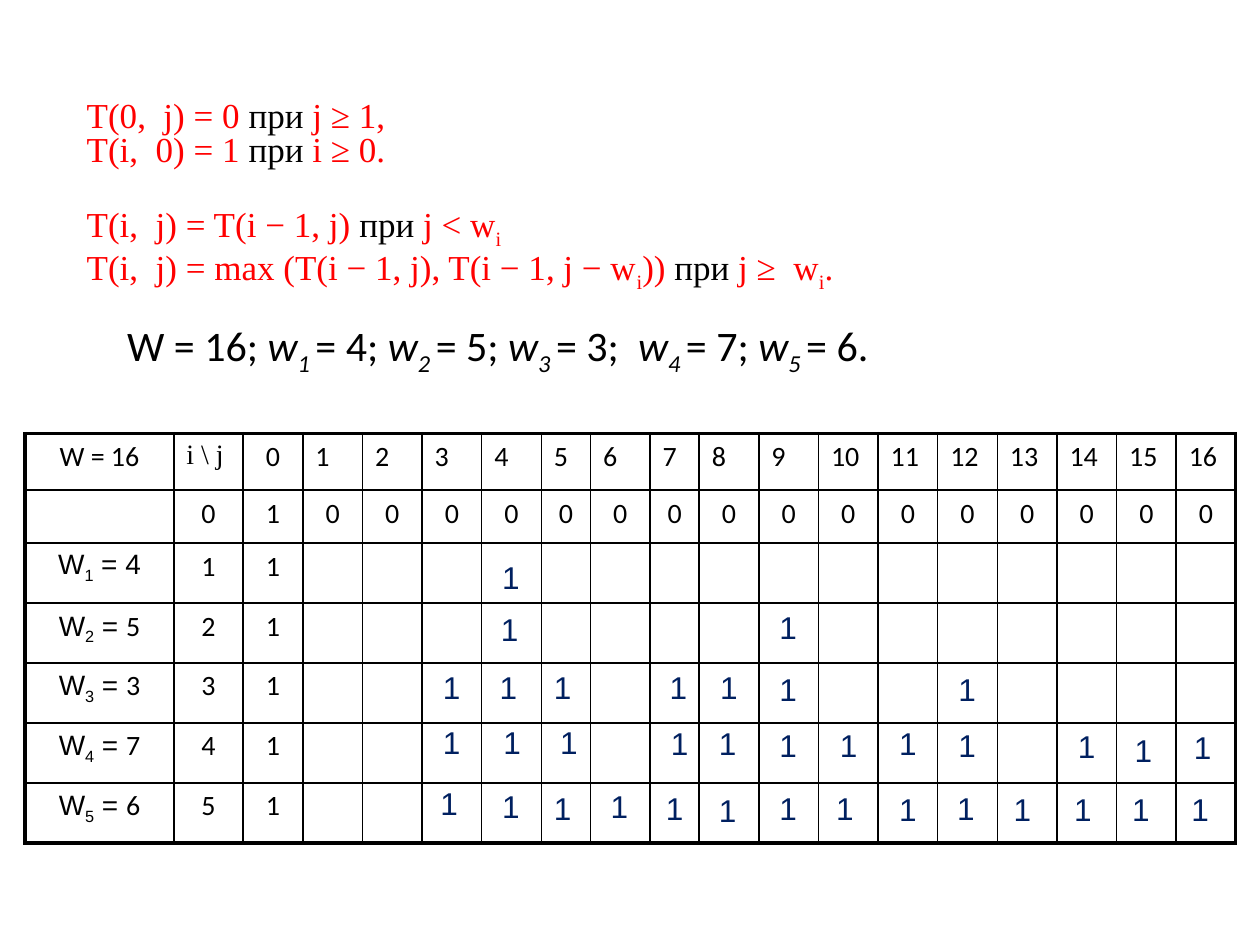
from lxml.etree import SubElement
from pptx import Presentation
from pptx.dml.color import RGBColor
from pptx.enum.text import MSO_AUTO_SIZE as AutoSize, PP_ALIGN as Align
from pptx.oxml.ns import qn
from pptx.util import Inches, Pt

COLUMNS, ROWS = 10, 7.5
BLACK, RED, NAVY = "000000", "FF0000", "002060"
SANS, SERIF, ARIAL = "Calibri", "Times New Roman", "Arial"
SUBSCRIPT = {"subscript": True}
ITALIC = {"italic": True}
ITALIC_SUBSCRIPT = ITALIC | SUBSCRIPT
WHEN = ("при", {"color": BLACK})

FORMULAS = [
    [("T(0,  j) = 0 ", {}), WHEN, (" j ≥ 1,", {})],
    [("T(i,  0) = 1 ", {}), WHEN, (" i ≥ 0.", {})],
    [("T(i,  j) = T(i − 1, j) ", {}), WHEN, (" j < w", {}), ("i", SUBSCRIPT)],
    [("T(i,  j) = max (T(i − 1, j), T(i − 1, j − w", {}), ("i", SUBSCRIPT),
     (")) ", {}), WHEN, (" j ≥  w", {}), ("i", SUBSCRIPT), (".", {})],
]
CAPACITY = 16
WEIGHTS = [4, 5, 3, 7, 6]
MARKS = [
    [(3.82, 4.38)],
    [(3.81, 4.79), (6.02, 4.78)],
    [(3.35, 5.25), (3.8, 5.25), (4.23, 5.25), (5.15, 5.25), (5.55, 5.25),
     (6.02, 5.27), (7.44, 5.27)],
    [(3.35, 5.69), (3.83, 5.69), (4.28, 5.69), (5.16, 5.7), (5.54, 5.7),
     (6.02, 5.71), (6.5, 5.71), (6.97, 5.7), (7.44, 5.71), (8.39, 5.72),
     (8.84, 5.75), (9.31, 5.73)],
    [(3.33, 6.17), (3.82, 6.2), (4.23, 6.21), (4.68, 6.2), (5.12, 6.21),
     (5.54, 6.23), (6.02, 6.21), (6.47, 6.21), (6.97, 6.22), (7.43, 6.21),
     (7.88, 6.22), (8.36, 6.22), (8.82, 6.22), (9.29, 6.22)],
]


def rgb(color):
    return RGBColor.from_string(color)


class SlideBuilder:
    def __init__(self, presentation):
        self.column = presentation.slide_width / COLUMNS
        self.row = presentation.slide_height / ROWS
        self.slide = presentation.slides.add_slide(presentation.slide_layouts[6])

    def box(self, left, top, width, height):
        return (round(left * self.column), round(top * self.row),
                round(width * self.column), round(height * self.row))

    def add_runs(self, paragraph, runs, size, font, color=BLACK, align=Align.LEFT):
        paragraph.alignment = align
        for text, look in runs:
            run = paragraph.add_run()
            run.text = text
            run.font.size = Pt(size)
            run.font.name = look.get("font", font)
            run.font.italic = look.get("italic", False)
            run.font.color.rgb = rgb(look.get("color", color))
            if look.get("subscript"):
                run._r.get_or_add_rPr().set("baseline", "-25000")

    def text(self, place, lines, size, font, color=BLACK, align=Align.LEFT, grow=True):
        text_frame = self.slide.shapes.add_textbox(*self.box(*place)).text_frame
        text_frame.word_wrap = True
        text_frame.auto_size = AutoSize.SHAPE_TO_FIT_TEXT if grow else AutoSize.NONE
        for index, runs in enumerate(lines):
            paragraph = text_frame.add_paragraph() if index else text_frame.paragraphs[0]
            self.add_runs(paragraph, runs, size, font, color, align)
        return text_frame.paragraphs

    def border(self, cell, side, width):
        line = SubElement(cell._tc.get_or_add_tcPr(), qn(f"a:ln{side}"), w=str(Pt(width)))
        fill = SubElement(line, qn("a:solidFill"))
        SubElement(fill, qn("a:srgbClr"), val=BLACK)

    def table(self, place, widths, heights, contents, size, font):
        last_row, last_column = len(heights) - 1, len(widths) - 1
        table = self.slide.shapes.add_table(
            len(heights), len(widths), *self.box(*place)).table
        table.first_row = table.horz_banding = False
        for column, width in zip(table.columns, widths):
            column.width = round(width * self.column)
        for row, height in zip(table.rows, heights):
            row.height = round(height * self.row)
        for i in range(len(heights)):
            for j in range(len(widths)):
                cell = table.cell(i, j)
                outer = {"L": j == 0, "R": j == last_column,
                         "T": i == 0, "B": i == last_row}
                for side, thick in outer.items():
                    self.border(cell, side, 2.25 if thick else 1)
                cell.fill.background()
                if (i, j) in contents:
                    runs, align = contents[i, j]
                    self.add_runs(cell.text_frame.paragraphs[0], runs, size, font, align=align)


def weight_runs():
    runs = [(f"W = {CAPACITY}; ", {})]
    for index, weight in enumerate(WEIGHTS, 1):
        ending = "." if index == len(WEIGHTS) else ";  " if index == 3 else "; "
        runs += [("w", ITALIC), (f"{index} ", ITALIC_SUBSCRIPT), (f"= {weight}{ending}", {})]
    return runs


def table_contents():
    center, left = Align.CENTER, Align.LEFT
    contents = {(0, 0): ([(f"W = {CAPACITY}", {})], center),
                (0, 1): ([("i \\ j", {"font": SERIF})], left)}
    for j in range(CAPACITY + 1):
        contents[0, j + 2] = [(str(j), {})], left if j else center
        contents[1, j + 2] = [("0" if j else "1", {})], center
    for i in range(len(WEIGHTS) + 1):
        contents[i + 1, 1] = [(str(i), {})], center
        contents[i + 1, 2] = [("1", {})], center
    arial = {"font": ARIAL}
    for i, weight in enumerate(WEIGHTS, 1):
        digit = arial if i == 1 else {}
        contents[i + 1, 0] = [("W", arial), (str(i), arial | SUBSCRIPT),
                              (" = ", arial), (str(weight), digit)], center
    return contents


def main():
    presentation = Presentation()
    presentation.slide_width, presentation.slide_height = Inches(COLUMNS), Inches(ROWS)
    builder = SlideBuilder(presentation)

    builder.text((0.91, 2.49, 7.05, 0.71), [weight_runs()], 24, SANS, grow=False)

    table_width, table_height = 9.61, 3.25
    label, index, narrow = 1.18, 0.55, 0.39
    regular = (table_width - label - index - 2 * narrow) / (CAPACITY - 1)
    widths = [label, index] + [narrow if j in (5, 7) else regular
                               for j in range(CAPACITY + 1)]
    header, start = 0.45, 0.42
    heights = [header, start] + [(table_height - header - start) / len(WEIGHTS)] * len(WEIGHTS)
    builder.table((0.2, 3.44, table_width, table_height), widths, heights,
                  table_contents(), 16, SANS)

    paragraphs = builder.text((0.59, 0.76, 9.13, 1.51), FORMULAS, 20, SERIF, RED)
    for paragraph, spacing in zip(paragraphs, (0.8, 0.8, 1.0, 0.8)):
        paragraph.line_spacing = spacing
    paragraphs[2].space_before = Pt(19)

    for marks in MARKS:
        for left, top in marks:
            builder.text((left, top, 0.47, 0.4), [[("1", {})]], 18, ARIAL, NAVY, Align.CENTER)

    presentation.save("out.pptx")


if __name__ == "__main__":
    main()
